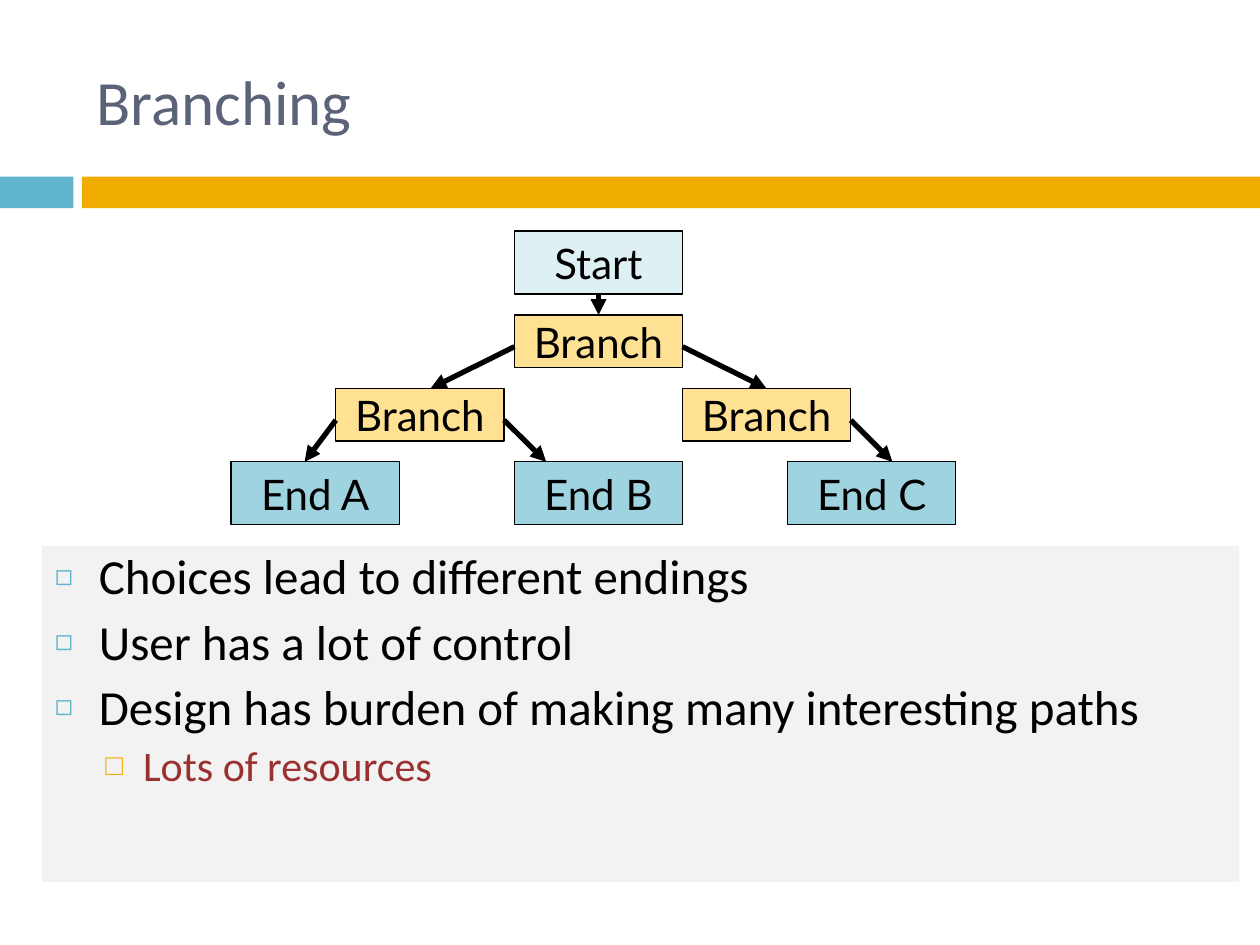
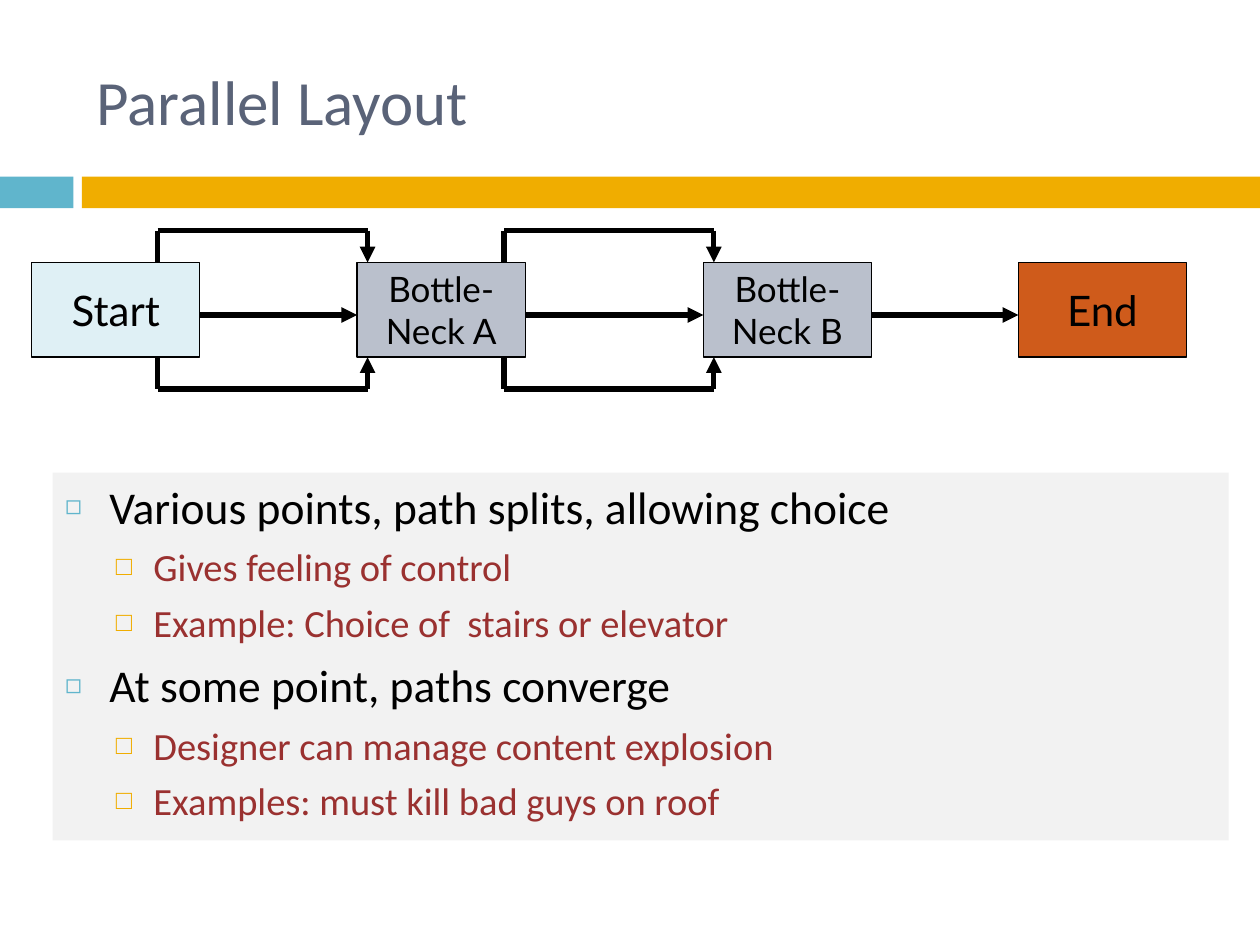
from lxml.etree import SubElement
from pptx import Presentation
from pptx.dml.color import RGBColor
from pptx.enum.shapes import MSO_CONNECTOR as Connector, MSO_SHAPE as Preset
from pptx.enum.text import MSO_ANCHOR as Anchor, MSO_AUTO_SIZE as AutoSize, PP_ALIGN as Align
from pptx.oxml.ns import qn
from pptx.util import Cm, Pt

COLOURS = {
    "title": "5A6378", "text": "000000", "detail": "9A3130", "panel": "F2F2F2",
    "blue": "60B5CC", "gold": "F0AD00", "start": "DFF0F5", "branch": "FFE193",
    "ending": "A0D3E0", "bottleneck": "BAC0CC", "finish": "CF5B1B",
}
# Bullet levels: indent and hanging in cm, space before in pt, bullet size in %
LEVELS = [
    {"indent": 0.89, "hanging": 0.89, "before": 7, "bullet": "◻",
     "bullet_colour": "blue", "bullet_size": 60, "colour": "text"},
    {"indent": 1.78, "hanging": 0.76, "before": 5.5, "bullet": "□",
     "bullet_colour": "gold", "bullet_size": 70, "colour": "detail"},
]
BOX_WIDTH = 3.39


class Deck:
    """Holds the shared style and the current slide; lengths are in cm."""

    text_font = "Calibri"
    box_font = "Lato"

    def __init__(self):
        self.presentation = Presentation()
        self.presentation.slide_width = Cm(25.4)
        self.presentation.slide_height = Cm(19.05)
        self.slide = None

    def colour(self, name):
        return RGBColor.from_string(COLOURS[name])

    def place(self, shape, left, top, width, height):
        shape.left, shape.top = Cm(left), Cm(top)
        shape.width, shape.height = Cm(width), Cm(height)

    def format_runs(self, paragraph, font, size, colour):
        for run in paragraph.runs:
            run.font.name = font
            run.font.size = Pt(size)
            run.font.color.rgb = self.colour(colour)

    def new_slide(self, title):
        layout = self.presentation.slide_layouts[1]
        self.slide = self.presentation.slides.add_slide(layout)
        self.rectangle(0, 3.56, 1.48, 0.64, "blue")
        self.rectangle(1.65, 3.56, 23.75, 0.64, "gold")
        shape = self.slide.shapes.title
        self.place(shape, 1.69, 0.64, 22.65, 2.75)
        text_frame = shape.text_frame
        text_frame.text = title
        text_frame.auto_size = AutoSize.NONE
        text_frame.vertical_anchor = Anchor.MIDDLE
        paragraph = text_frame.paragraphs[0]
        paragraph.alignment = Align.LEFT
        self.format_runs(paragraph, self.text_font, 36, "title")

    def rectangle(self, left, top, width, height, fill):
        shape = self.slide.shapes.add_shape(
            Preset.RECTANGLE, Cm(left), Cm(top), Cm(width), Cm(height))
        shape.shadow.inherit = False
        shape.fill.solid()
        shape.fill.fore_color.rgb = self.colour(fill)
        shape.line.fill.background()
        return shape

    def box(self, text, left, top, height, fill, size=24):
        shape = self.rectangle(left, top, BOX_WIDTH, height, fill)
        shape.line.color.rgb = self.colour("text")
        shape.line.width = Pt(0.75)
        text_frame = shape.text_frame
        text_frame.text = text
        text_frame.word_wrap = False
        text_frame.vertical_anchor = Anchor.MIDDLE
        for paragraph in text_frame.paragraphs:
            paragraph.alignment = Align.CENTER
            self.format_runs(paragraph, self.box_font, size, "text")

    def line(self, start, end, arrow=False):
        connector = self.slide.shapes.add_connector(
            Connector.STRAIGHT, *(Cm(value) for value in (*start, *end)))
        connector.line.color.rgb = self.colour("text")
        connector.line.width = Pt(3)
        properties = connector.element.spPr
        if arrow:
            SubElement(properties.find(qn("a:ln")), qn("a:tailEnd"), type="triangle")
        SubElement(properties, qn("a:effectLst"))

    def detour(self, start_x, end_x, edge_y, run_y):
        """Three lines out of one box edge and back into the next box."""
        corners = [(start_x, edge_y), (start_x, run_y), (end_x, run_y), (end_x, edge_y)]
        for index in range(3):
            self.line(corners[index], corners[index + 1], arrow=index == 2)

    def bullets(self, items, left, top, width, height, sizes, spacing):
        shape = self.slide.placeholders[1]
        self.place(shape, left, top, width, height)
        shape.fill.solid()
        shape.fill.fore_color.rgb = self.colour("panel")
        text_frame = shape.text_frame
        text_frame.text = "\n".join(text for _, text in items)
        text_frame.auto_size = AutoSize.NONE
        for paragraph, (level, _) in zip(text_frame.paragraphs, items):
            style = LEVELS[level]
            paragraph.level = level
            paragraph.line_spacing = spacing
            paragraph.space_before = Pt(style["before"])
            self.format_runs(paragraph, self.text_font, sizes[level], style["colour"])
            self.bullet(paragraph, style)

    def bullet(self, paragraph, style):
        properties = paragraph._p.get_or_add_pPr()
        properties.set("marL", str(Cm(style["indent"])))
        properties.set("indent", str(-Cm(style["hanging"])))
        colour = SubElement(properties, qn("a:buClr"))
        SubElement(colour, qn("a:srgbClr"), val=COLOURS[style["bullet_colour"]])
        SubElement(properties, qn("a:buSzPct"), val=str(style["bullet_size"] * 1000))
        SubElement(properties, qn("a:buChar"), char=style["bullet"])


def branching(deck):
    deck.new_slide("Branching")
    deck.bullets([
        (0, "Choices lead to different endings"),
        (0, "User has a lot of control"),
        (0, "Design has burden of making many interesting paths"),
        (1, "Lots of resources"),
    ], 0.85, 11.01, 24.13, 6.77, sizes=(28, 24), spacing=0.9)

    # Tree of boxes
    centre, left_branch, right_branch = 10.37, 6.77, 13.76
    first_row, second_row, end_row = 6.35, 7.83, 9.31
    deck.box("Start", centre, 4.66, 1.27, "start")
    for left, top in [(centre, first_row), (left_branch, second_row),
                      (right_branch, second_row)]:
        deck.box("Branch", left, top, 1.06, "branch")
    for text, left in [("End A", 4.66), ("End B", centre), ("End C", 15.88)]:
        deck.box(text, left, end_row, 1.27, "ending")

    # Arrows: from the side of a branch to the top of a box in the next row
    middle = centre + BOX_WIDTH / 2
    deck.line((middle, 5.93), (middle, first_row), arrow=True)
    for side, row, target, next_row in [
        (centre, first_row, 8.68, second_row),
        (centre + BOX_WIDTH, first_row, 15.45, second_row),
        (left_branch, second_row, 6.14, end_row),
        (left_branch + BOX_WIDTH, second_row, 11.01, end_row),
        (right_branch + BOX_WIDTH, second_row, 17.99, end_row),
    ]:
        deck.line((side, row + 0.64), (target, next_row), arrow=True)


def parallel_layout(deck):
    deck.new_slide("Parallel Layout")
    deck.bullets([
        (0, "Various points, path splits, allowing choice"),
        (1, "Gives feeling of control"),
        (1, "Example: Choice of  stairs or elevator"),
        (0, "At some point, paths converge"),
        (1, "Designer can manage content explosion"),
        (1, "Examples: must kill bad guys on roof"),
    ], 1.06, 9.53, 23.71, 7.41, sizes=(26, 22), spacing=1.0)

    # Row of boxes
    top, height = 5.29, 1.91
    stops = [
        ("Start", 0.64, "start", 24),
        ("Bottle-\nNeck A", 7.2, "bottleneck", 20),
        ("Bottle-\nNeck B", 14.18, "bottleneck", 20),
        ("End", 20.53, "finish", 24),
    ]
    for text, left, fill, size in stops:
        deck.box(text, left, top, height, fill, size)

    # Direct paths, then the detours above and below
    for (_, left, _, _), (_, next_left, _, _) in zip(stops, stops[1:]):
        deck.line((left + BOX_WIDTH, 6.35), (next_left, 6.35), arrow=True)
    for start_x in (3.18, 10.16):
        for edge_y, run_y in [(top, top - 0.64), (top + height, top + height + 0.64)]:
            deck.detour(start_x, start_x + 4.23, edge_y, run_y)


def main():
    deck = Deck()
    branching(deck)
    parallel_layout(deck)
    deck.presentation.save("out.pptx")


if __name__ == "__main__":
    main()
